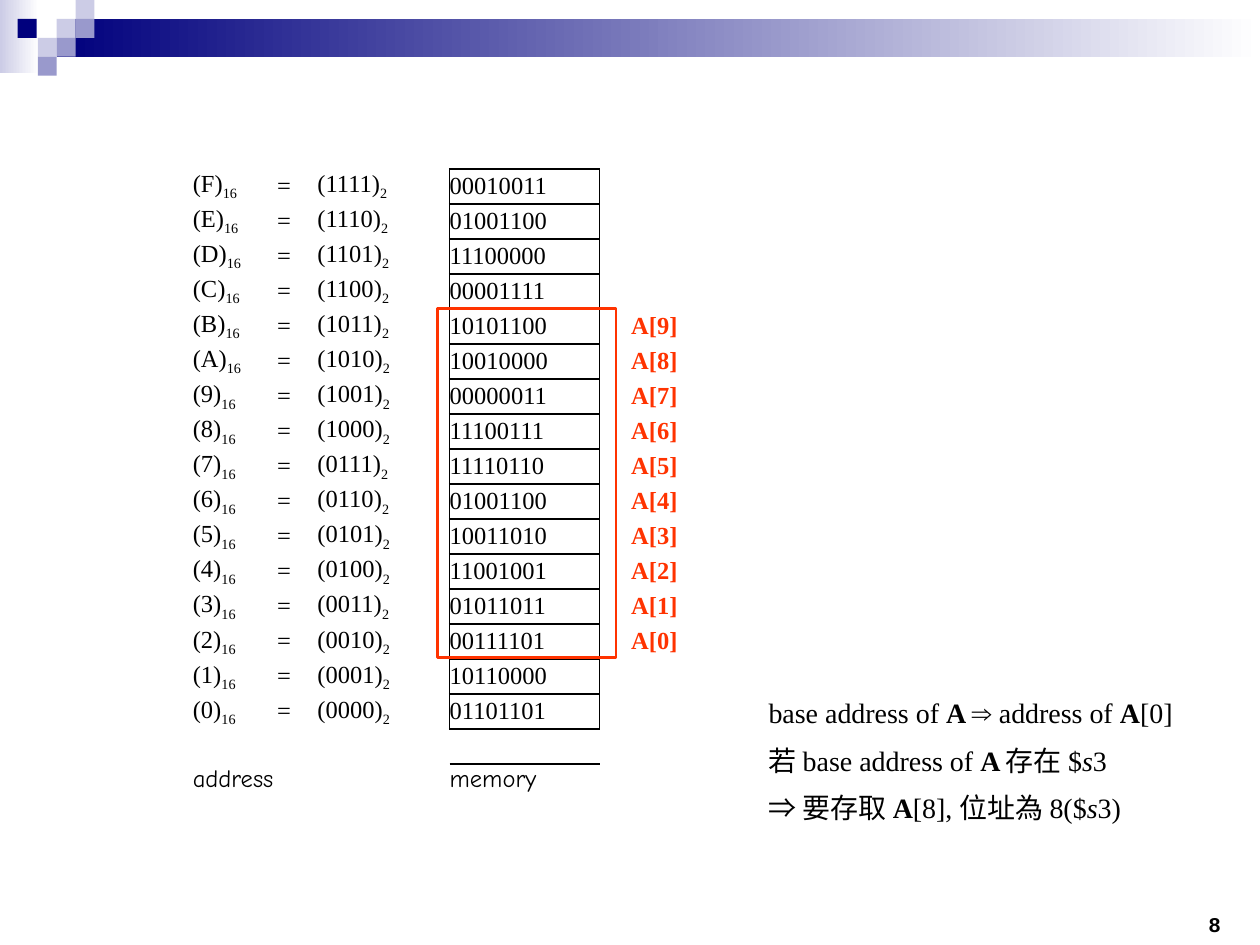
from pptx import Presentation
from pptx.dml.color import RGBColor
from pptx.enum.shapes import MSO_SHAPE as Preset
from pptx.enum.text import MSO_ANCHOR as Anchor, PP_ALIGN as Align
from pptx.oxml import parse_xml
from pptx.oxml.ns import nsdecls, qn
from pptx.util import Inches, Pt

SERIF = "Times New Roman"
BLACK, RED = "000000", "FF3300"
NAVY, LILAC, VIOLET = "00007D", "CCCCE6", "9999CC"
NO_STYLE = "{2D5ABB26-0587-4C30-8999-92F81FD0307C}"
ROW_HEIGHT = Inches(2.78) // 10
BYTES = """00010011 01001100 11100000 00001111 10101100 10010000 00000011 11100111
11110110 01001100 10011010 11001001 01011011 00111101 10110000 01101101""".split()
NOTES = [
    [("base address of ", ""), ("A ", "b"), ("⇒ address of ", ""), ("A", "b"), ("[0]", "")],
    [("若 base address of ", ""), ("A ", "b"), ("存在 $", ""), ("s", "i"), ("3", "")],
    [("⇒ 要存取 ", ""), ("A", "b"), ("[8], 位址為 8($", ""), ("s", "i"), ("3)", "")],
]


def rgb(code):
    return RGBColor.from_string(code)


def write(paragraph, text, size=14, font=SERIF, color=BLACK, bold=False, italic=False, sub=False):
    run = paragraph.add_run()
    run.text = text
    run.font.size = Pt(size)
    run.font.name = font
    run.font.color.rgb = rgb(color)
    run.font.bold = bold
    run.font.italic = italic
    if sub:
        run.font._element.set("baseline", "-25000")


def add_block(slide, left, top, width, height, fill=None, fade=None, outline=None):
    block = slide.shapes.add_shape(
        Preset.RECTANGLE, Inches(left), Inches(top), Inches(width), Inches(height))
    block.shadow.inherit = False
    if fade:
        block.fill.gradient()
        block.fill.gradient_angle = 0
        for stop, code in zip(block.fill.gradient_stops, (fill, fade)):
            stop.color.rgb = rgb(code)
    elif fill:
        block.fill.solid()
        block.fill.fore_color.rgb = rgb(fill)
    else:
        block.fill.background()
    if outline:
        block.line.color.rgb = rgb(outline)
        block.line.width = Pt(1.5)
    else:
        block.line.fill.background()


def add_frame(slide, left, top, width, height, anchor=Anchor.TOP):
    frame = slide.shapes.add_textbox(
        Inches(left), Inches(top), Inches(width), Inches(height)).text_frame
    frame.word_wrap = True
    frame.vertical_anchor = anchor
    frame.margin_left = frame.margin_right = frame.margin_top = frame.margin_bottom = 0
    return frame


def add_plain_table(slide, left, top, widths, heights):
    table = slide.shapes.add_table(
        len(heights), len(widths), Inches(left), Inches(top),
        sum(map(Inches, widths)), sum(heights)).table
    table.first_row = table.horz_banding = False
    table._tbl.tblPr.find(qn("a:tableStyleId")).text = NO_STYLE
    for column, width in zip(table.columns, widths):
        column.width = Inches(width)
    for row, height in zip(table.rows, heights):
        row.height = height
    for cell in table.iter_cells():
        cell.margin_left = cell.margin_right = cell.margin_top = cell.margin_bottom = 0
        cell.vertical_anchor = Anchor.MIDDLE
        cell.fill.background()
        cell.text_frame.paragraphs[0]._p.get_or_add_endParaRPr().set("sz", "1400")
    return table


def set_borders(cell, sides):
    properties = cell._tc.get_or_add_tcPr()
    for position, side in enumerate(sides):
        properties.insert(position, parse_xml(
            f'<a:ln{side} w="12700" {nsdecls("a")}><a:solidFill>'
            f'<a:srgbClr val="{BLACK}"/></a:solidFill></a:ln{side}>'))


def add_banner(slide):
    add_block(slide, 0, 0, 0.31, 0.58, LILAC, fade="FFFFFF")
    add_block(slide, 0.45, 0.15, 9.55, 0.3, NAVY, fade="FFFFFF")
    for left, top, color in [
        (0.45, 0.15, LILAC), (0.6, 0, LILAC), (0.6, 0.15, VIOLET), (0.3, 0.3, LILAC),
        (0.14, 0.15, NAVY), (0.45, 0.3, VIOLET), (0.3, 0.45, VIOLET),
    ]:
        add_block(slide, left, top, 0.15, 0.15, color)


def add_memory(slide):
    heights = [ROW_HEIGHT] * (len(BYTES) + 1) + [Inches(0.25)]
    memory = add_plain_table(slide, 1.53, 1.34, [0.67, 0.32, 0.89, 0.16, 1.19], heights)

    def paragraph(row, column):
        return memory.cell(row, column).text_frame.paragraphs[0]

    for row, byte in enumerate(BYTES):
        address = len(BYTES) - 1 - row
        for column, digits, base in [(0, f"({address:X})", "16"), (2, f"({address:04b})", "2")]:
            write(paragraph(row, column), digits)
            write(paragraph(row, column), base, sub=True)
        write(paragraph(row, 1), "=")
        write(paragraph(row, 4), byte)
        set_borders(memory.cell(row, 3), "R")
        set_borders(memory.cell(row, 4), "LRTB")
    gap, caption = len(BYTES), len(BYTES) + 1
    set_borders(memory.cell(gap, 4), "T")
    for row in (gap, caption):
        memory.cell(row, 0).merge(memory.cell(row, 2))
    write(paragraph(caption, 0), "address", font="Comic Neue")
    write(paragraph(caption, 4), "memory", font="Comic Neue")


def add_array_labels(slide):
    labels = add_plain_table(slide, 5.01, 2.45, [0.4], [ROW_HEIGHT] * 10)
    for row in range(10):
        write(labels.cell(row, 0).text_frame.paragraphs[0], f"A[{9 - row}]", color=RED, bold=True)


def add_notes(slide):
    frame = add_frame(slide, 6.1, 5.52, 3.43, 1.07)
    for index, line in enumerate(NOTES):
        paragraph = frame.add_paragraph() if index else frame.paragraphs[0]
        paragraph._p.get_or_add_pPr().append(parse_xml(
            f'<a:spcBef {nsdecls("a")}><a:spcPct val="50000"/></a:spcBef>'))
        for text, style in line:
            write(paragraph, text, size=16, bold=style == "b", italic=style == "i")


def add_page_number(slide):
    number = add_frame(slide, 9.29, 7.22, 0.7, 0.23, Anchor.MIDDLE).paragraphs[0]
    number.alignment = Align.CENTER
    write(number, "8", size=12, font="Courier New", bold=True)


def main():
    deck = Presentation()
    deck.slide_width, deck.slide_height = Inches(10), Inches(7.5)
    slide = deck.slides.add_slide(deck.slide_layouts[6])
    add_banner(slide)
    add_page_number(slide)
    add_memory(slide)
    add_block(slide, 3.47, 2.45, 1.42, 2.77, outline=RED)
    add_array_labels(slide)
    add_notes(slide)
    deck.save("out.pptx")


main()
